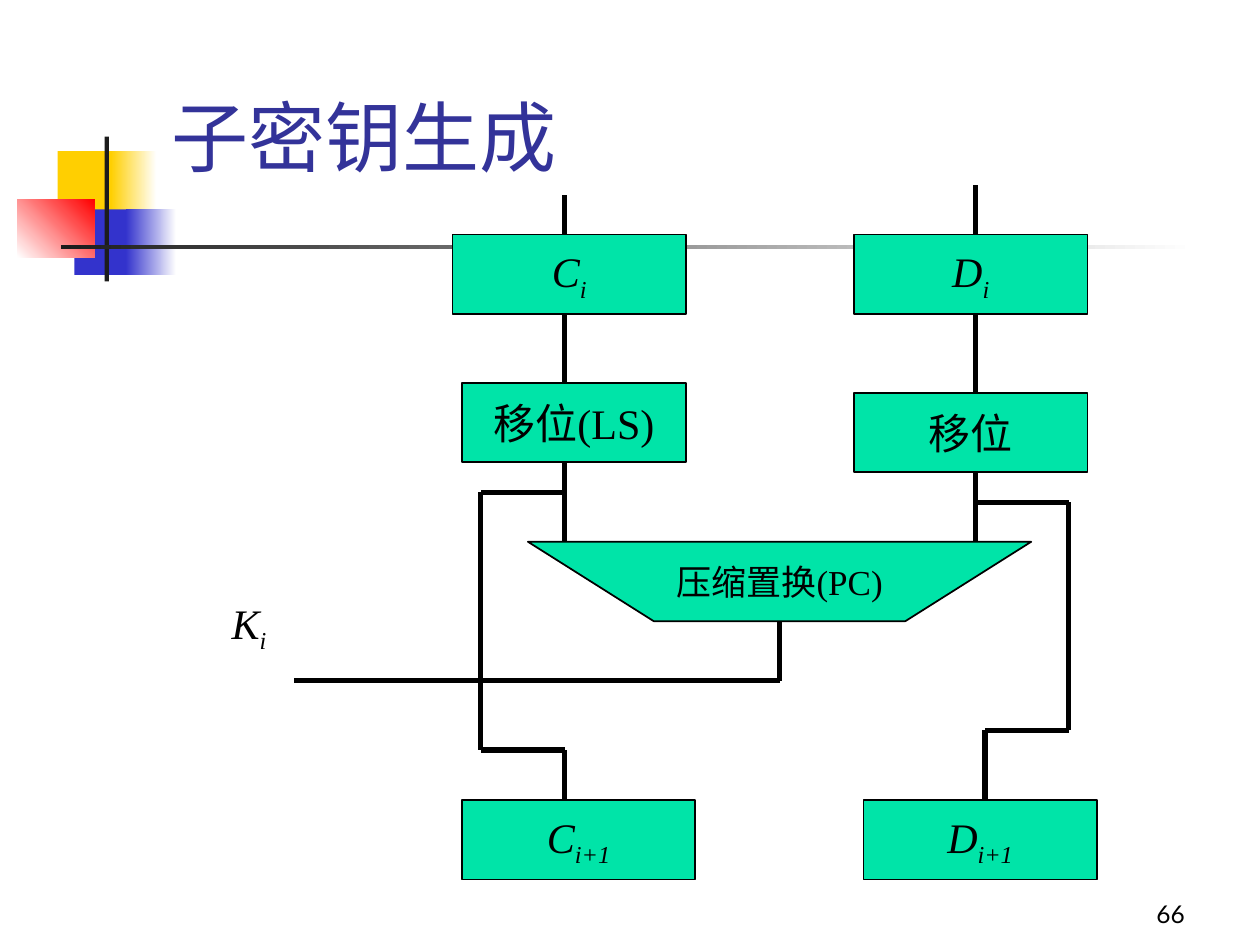
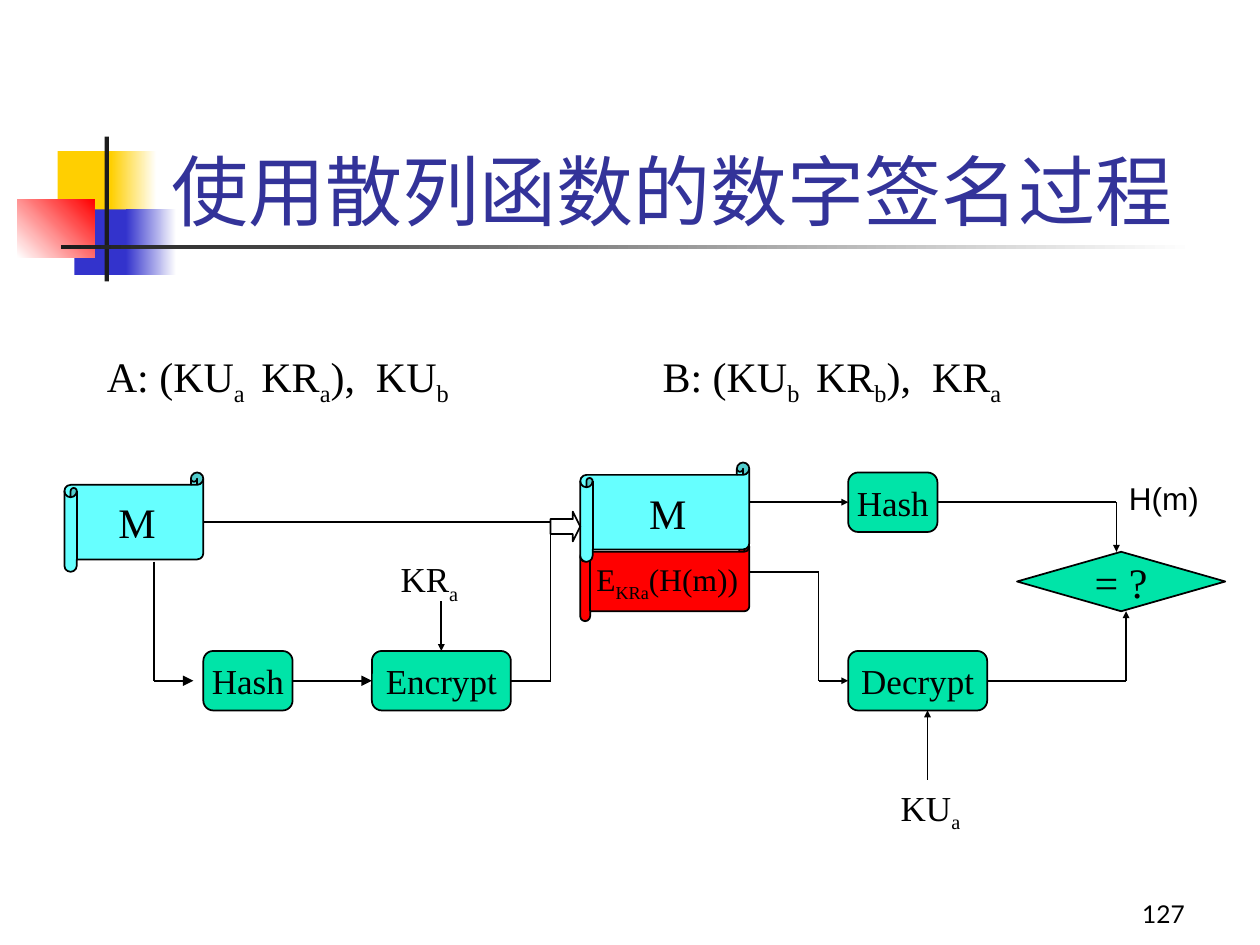
from itertools import pairwise

from lxml.etree import SubElement
from pptx import Presentation
from pptx.dml.color import RGBColor
from pptx.enum.shapes import MSO_CONNECTOR, MSO_SHAPE as Geometry
from pptx.enum.text import MSO_ANCHOR as Anchor, MSO_AUTO_SIZE, PP_ALIGN as Align
from pptx.oxml.ns import qn
from pptx.util import Pt

BLACK = RGBColor(0x00, 0x00, 0x00)
WHITE = RGBColor(0xFF, 0xFF, 0xFF)
CHARCOAL = RGBColor(0x1C, 0x1C, 0x1C)
YELLOW = RGBColor(0xFF, 0xCF, 0x01)
BLUE = RGBColor(0x33, 0x33, 0xCC)
RED = RGBColor(0xFF, 0x00, 0x00)
INDIGO = RGBColor(0x33, 0x33, 0x99)
GREEN = RGBColor(0x00, 0xE4, 0xA8)
CYAN = RGBColor(0x66, 0xFF, 0xFF)
SERIF = "Times New Roman"


def dress(shape, text, size, fill=None, color=BLACK, align=Align.CENTER,
          anchor=Anchor.MIDDLE, wrap=False, **font_formats):
    """Fill and outline a shape, then write its text; every second part between bars is a subscript."""
    if fill is not None:
        shape.shadow.inherit = False
        shape.fill.solid()
        shape.fill.fore_color.rgb = fill
        shape.line.color.rgb = BLACK
        shape.line.width = Pt(1)
    frame_formats = {"word_wrap": wrap, "vertical_anchor": anchor, "auto_size": MSO_AUTO_SIZE.NONE}
    for name, value in frame_formats.items():
        setattr(shape.text_frame, name, value)
    paragraph = shape.text_frame.paragraphs[0]
    paragraph.alignment = align
    for index, part in enumerate(text.split("|")):
        run = paragraph.add_run()
        run.text = part
        run.font.color.rgb = color
        for name, value in ({"name": SERIF, "size": Pt(size)} | font_formats).items():
            setattr(run.font, name, value)
        if index % 2:
            run._r.get_or_add_rPr().set("baseline", "-25000")


def add_path(slide, points, width=1, arrow=None, begin=None, finish=None):
    """Draw straight connectors through the points; begin and finish are (shape, site) joints."""
    connectors = []
    for (x1, y1), (x2, y2) in pairwise(points):
        connector = slide.shapes.add_connector(MSO_CONNECTOR.STRAIGHT, Pt(x1), Pt(y1), Pt(x2), Pt(y2))
        connector.line.color.rgb = BLACK
        connector.line.width = Pt(width)
        SubElement(connector.element.spPr, qn("a:effectLst"))
        connectors.append(connector)
    if begin:
        connectors[0].begin_connect(*begin)
    if finish:
        connectors[-1].end_connect(*finish)
    if arrow:
        line = connectors[-1].element.spPr.find(qn("a:ln"))
        SubElement(line, qn("a:tailEnd"), type="triangle", w=arrow, len=arrow)


presentation = Presentation()
presentation.slide_width, presentation.slide_height = Pt(720), Pt(540)
layout = presentation.slide_layouts[5]

# Titles and page numbers
slides = []
for title_text, title_height, number in (("子密钥生成", 59, "66"),
                                         ("使用散列函数的数字签名过程", 90, "127")):
    slide = presentation.slides.add_slide(layout)
    title = slide.shapes.title
    title.left, title.top, title.width, title.height = Pt(91), Pt(48.3), Pt(613.5), Pt(title_height)
    dress(title, title_text, 44, color=INDIGO, align=Align.LEFT, anchor=Anchor.BOTTOM,
          wrap=True, name="Lato")
    page_number = slide.shapes.add_textbox(Pt(534.2), Pt(498.2), Pt(150), Pt(36))
    dress(page_number, number, 14, align=Align.RIGHT, anchor=Anchor.BOTTOM, wrap=True, name="Lato")
    slides.append(slide)
key_slide, signature_slide = slides

# Corner ornament, moved to the master: box, start colour, end colour, angle
ornament = [
    ((33, 86.4, 34.6, 37.4), YELLOW, None, 0),
    ((63.4, 86.4, 26, 37.4), YELLOW, WHITE, 0),
    ((42.5, 119.7, 33.1, 37.4), BLUE, None, 0),
    ((72, 119.7, 28.8, 37.4), BLUE, WHITE, 0),
    ((10, 113.8, 44, 33.4), WHITE, RED, 45),
    ((59.8, 78, 2.5, 82.8), CHARCOAL, None, 0),
    ((34.8, 140.1, 648, 2.5), CHARCOAL, WHITE, 0),
]
master_shapes = presentation.slide_master.shapes
for shape_id, (box, start_color, end_color, angle) in enumerate(ornament, 101):
    shape = key_slide.shapes.add_shape(Geometry.RECTANGLE, *map(Pt, box))
    shape.shadow.inherit = False
    shape.line.fill.background()
    if end_color is None:
        shape.fill.solid()
        shape.fill.fore_color.rgb = start_color
    else:
        shape.fill.gradient()
        shape.fill.gradient_angle = angle
        for stop, color in zip(shape.fill.gradient_stops, (start_color, end_color)):
            stop.color.rgb = color
    shape.element.xpath(".//p:cNvPr")[0].set("id", str(shape_id))
    master_shapes.element.append(shape.element)

# Subkey generation: register and shift boxes
BOX_HEIGHT = 45.4
registers = [
    ("C|i", 258.6, 134, 133.4, True),
    ("D|i", 488, 134, 133.4, True),
    ("移位(LS)", 264, 218.7, 128, False),
    ("移位", 488, 224.4, 133.4, False),
    ("C|i+1", 264, 457.2, 133.4, True),
    ("D|i+1", 493.4, 457.2, 133.4, True),
]
for text, left, top, width, italic in registers:
    shape = key_slide.shapes.add_shape(Geometry.RECTANGLE, Pt(left), Pt(top), Pt(width), Pt(BOX_HEIGHT))
    dress(shape, text, 24, GREEN, italic=italic)

# Compression permutation
builder = key_slide.shapes.build_freeform(Pt(301.7), Pt(309.6))
builder.add_line_segments([(Pt(x), Pt(y)) for x, y in ((373.6, 355), (517.4, 355), (589.3, 309.6))])
dress(builder.convert_to_shape(), "压缩置换(PC)", 20, GREEN)

# Wiring
C_LINE, D_LINE, D_NEXT = 322.6, 557.3, 562.8
wires = [
    [(C_LINE, 111.5), (C_LINE, 134)],
    [(D_LINE, 105.8), (D_LINE, 134)],
    [(C_LINE, 179.4), (C_LINE, 218.7)],
    [(D_LINE, 179.4), (D_LINE, 224.4)],
    [(C_LINE, 264.1), (C_LINE, 309.6)],
    [(D_LINE, 269.8), (D_LINE, 309.6)],
    [(445.5, 355), (445.5, 389), (168, 389)],
    [(C_LINE, 281.4), (274.6, 281.4), (274.6, 428.6), (C_LINE, 428.6), (C_LINE, 457.2)],
    [(D_LINE, 287), (610.6, 287), (610.6, 417.4), (D_NEXT, 417.4), (D_NEXT, 457.2)],
]
for points in wires:
    add_path(key_slide, points, width=3)

subkey_label = key_slide.shapes.add_textbox(Pt(125.3), Pt(337.7), Pt(85), Pt(40.3))
dress(subkey_label, "K|i", 24, align=Align.LEFT, anchor=Anchor.TOP, wrap=True, italic=True)

# Signature process: nodes
nodes = {}
for name, geometry, box, text, size, fill in (
    ("message", Geometry.HORIZONTAL_SCROLL, (36.8, 270, 79.4, 56.8), "M", 24, CYAN),
    ("hash", Geometry.ROUNDED_RECTANGLE, (116.2, 372, 51, 34), "Hash", 20, GREEN),
    ("encrypt", Geometry.ROUNDED_RECTANGLE, (212.5, 372, 79.4, 34), "Encrypt", 20, GREEN),
    ("signature", Geometry.HORIZONTAL_SCROLL, (331.6, 309.6, 96.6, 45.4), "E|KRa|(H(m))", 18, RED),
    ("received", Geometry.HORIZONTAL_SCROLL, (331.6, 264.3, 96.6, 56.8), "M", 24, CYAN),
    ("check hash", Geometry.ROUNDED_RECTANGLE, (484.7, 270, 51, 34), "Hash", 20, GREEN),
    ("decrypt", Geometry.ROUNDED_RECTANGLE, (484.7, 372, 79.4, 34), "Decrypt", 20, GREEN),
    ("compare", Geometry.DIAMOND, (581.2, 315.3, 119, 34), "= ?", 24, GREEN),
):
    nodes[name] = signature_slide.shapes.add_shape(geometry, *map(Pt, box))
    dress(nodes[name], text, size, fill)

# Signature process: labels
for text, box, size, font, wrap in (
    ("A: (KU|a | KR|a|),  KU|b", (54, 196.6, 244, 40.3), 24, SERIF, True),
    ("B: (KU|b | KR|b|),  KR|a", (371.5, 196.6, 250, 40.3), 24, SERIF, True),
    ("KR|a", (221.8, 315.3, 47.5, 34.6), 20, SERIF, False),
    ("KU|a", (507.6, 445.7, 48.2, 34.6), 20, SERIF, False),
    ("H(m)", (638, 270, 57, 28.8), 18, "Arial", True),
):
    label = signature_slide.shapes.add_textbox(*map(Pt, box))
    dress(label, text, size, align=Align.LEFT, anchor=Anchor.TOP, wrap=wrap, name=font)

# Signature process: flows as points, arrow size, joint at the start, joint at the end
TOP, LEFT, RIGHT = 0, 1, 3
flows = [
    ([(87.9, 321), (87.9, 389), (110.5, 389)], "med", None, None),
    ([(167.2, 389), (212.5, 389)], "med", ("hash", RIGHT), ("encrypt", LEFT)),
    ([(252.2, 343.6), (252.2, 372)], "sm", None, ("encrypt", TOP)),
    ([(116.2, 298.3), (314.6, 298.3)], None, None, None),
    ([(291.9, 389), (314.6, 389), (314.6, 303.8)], None, ("encrypt", RIGHT), None),
    ([(428.2, 287), (484.7, 287)], "sm", None, ("check hash", LEFT)),
    ([(535.7, 287), (638, 287), (638, 315.3)], "sm", ("check hash", RIGHT), None),
    ([(428.2, 326.7), (467.8, 326.7), (467.8, 389), (484.7, 389)], "sm", None, ("decrypt", LEFT)),
    ([(564.1, 389), (643.5, 389), (643.5, 349.3)], "sm", ("decrypt", RIGHT), None),
    ([(530, 445.7), (530, 406)], "sm", None, None),
]
for points, arrow, *joints in flows:
    begin, finish = [joint and (nodes[joint[0]], joint[1]) for joint in joints]
    add_path(signature_slide, points, arrow=arrow, begin=begin, finish=finish)

# Transmission arrow
transmission = signature_slide.shapes.add_shape(Geometry.RIGHT_ARROW, Pt(314.6), Pt(292.4), Pt(17), Pt(17))
transmission.adjustments[1] = 0.25
transmission.shadow.inherit = False
transmission.fill.background()
transmission.line.color.rgb = BLACK
transmission.line.width = Pt(1)

presentation.save("out.pptx")
